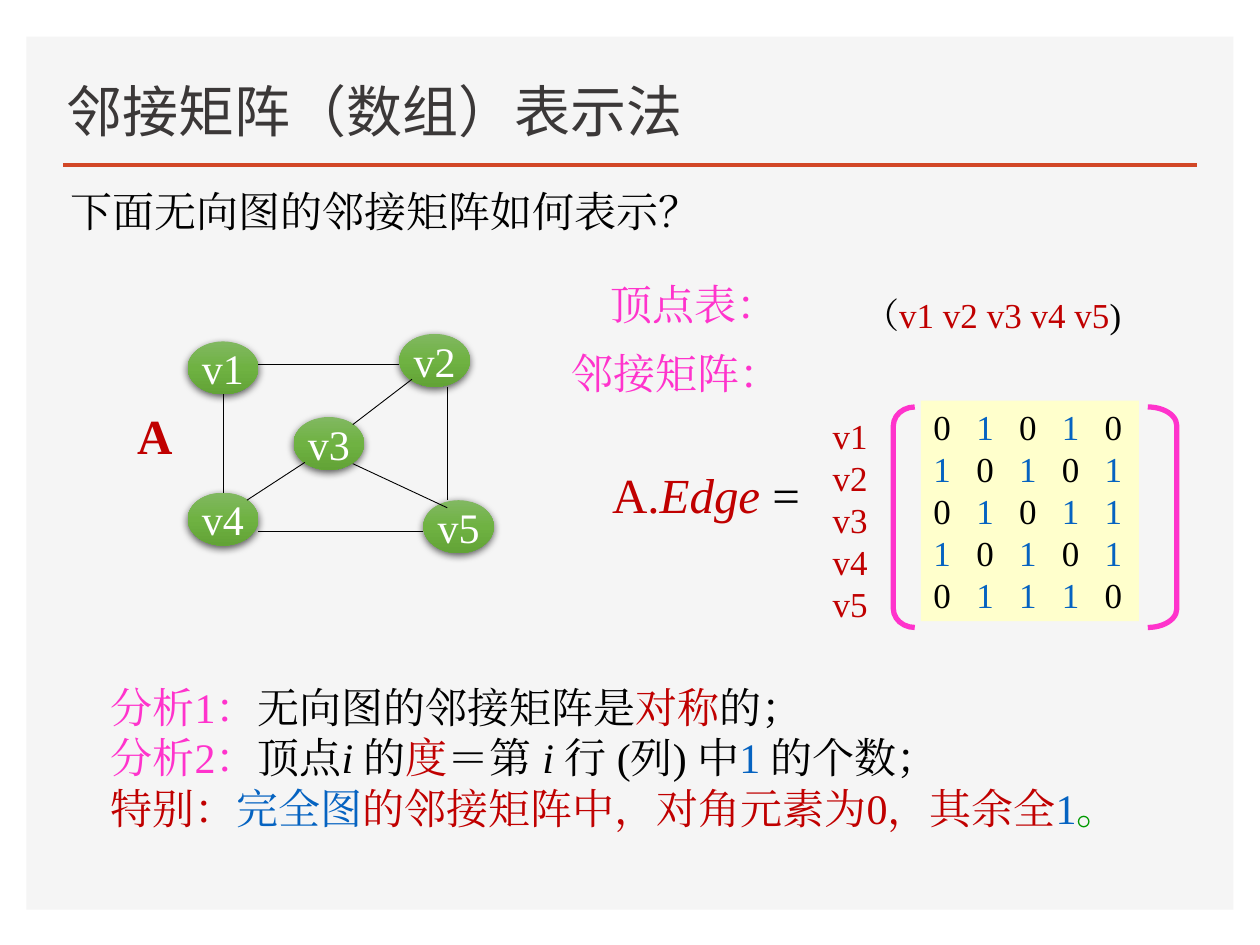
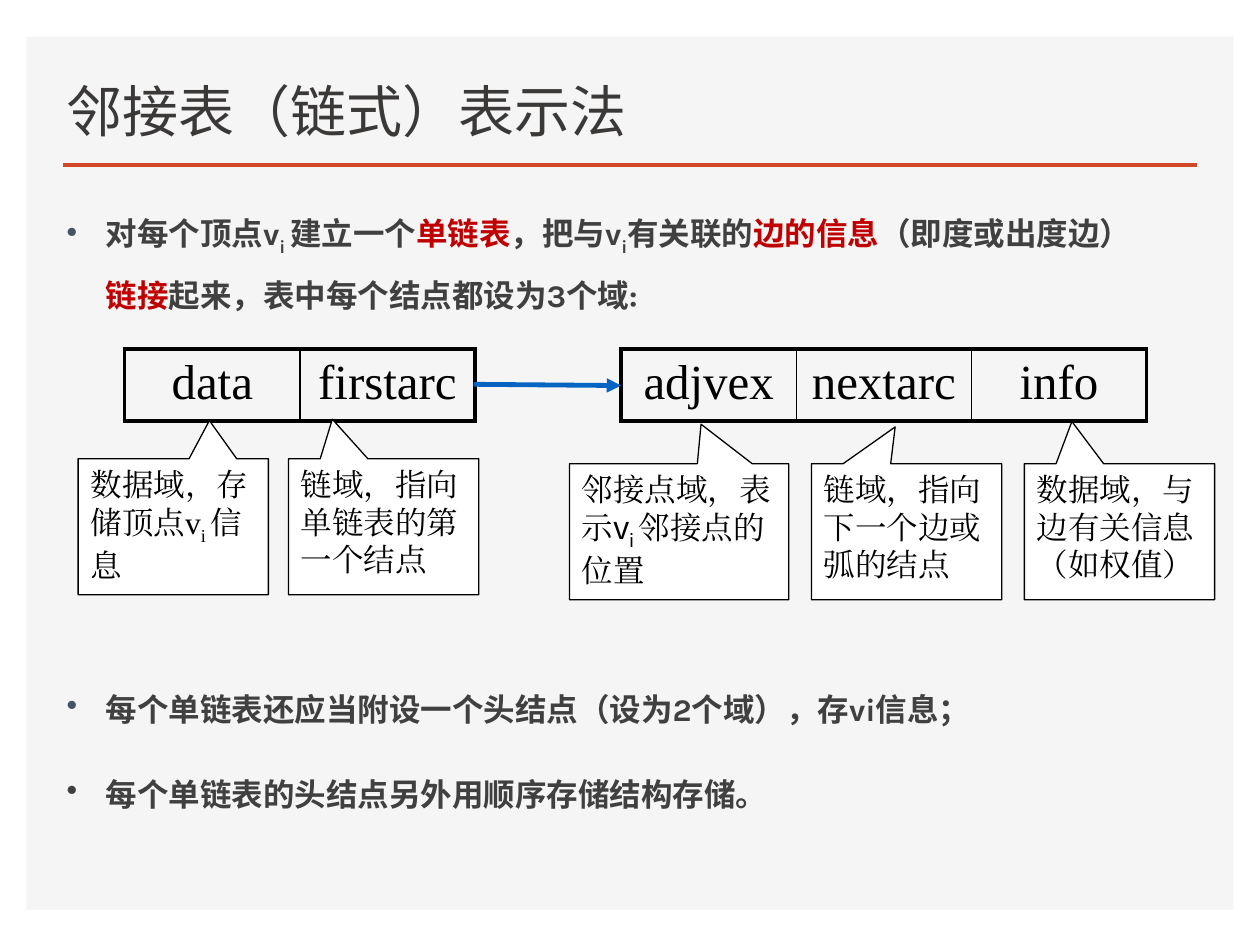
from itertools import product
from typing import NamedTuple

from lxml.etree import SubElement
from pptx import Presentation
from pptx.dml.color import RGBColor
from pptx.enum.shapes import MSO_CONNECTOR, MSO_SHAPE
from pptx.enum.text import MSO_ANCHOR, PP_ALIGN
from pptx.oxml.ns import qn
from pptx.util import Inches, Pt

SERIF, SANS, CJK = "Times New Roman", "Karla", "Noto Sans CJK SC"
BLACK, WHITE, RED, BLUE = "000000", "FFFFFF", "C00000", "0563C1"
PINK, GREEN, GRAY = "FF33CC", "009900", "404040"
BAND, RULE, TITLE, BULLET = "F5F5F5", "D24726", "3B3838", "44546A"
CREAM = "FFFFCC"
NODE_STOPS = [(0, "81B861"), (50, "6FB242"), (100, "62A336")]


class Run(NamedTuple):
    text: str
    color: str = BLACK
    font: str = ""
    italic: bool = False
    sub: bool = False


class Node(NamedTuple):
    name: str
    x: float
    y: float


class Edge(NamedTuple):
    ends: tuple[int, int]
    start: tuple[float, float]
    stop: tuple[float, float]


class Callout(NamedTuple):
    x: float
    y: float
    width: float
    tip: tuple[float, float]
    runs: list[Run]


def rgb(value: str) -> RGBColor:
    return RGBColor.from_string(value)


def add_xml(parent, tag: str, **attrs):
    return SubElement(parent, qn(tag), {k: str(v) for k, v in attrs.items()})


def add_color(parent, color: str):
    return add_xml(add_xml(parent, "a:solidFill"), "a:srgbClr", val=color)


def write(tf, paragraphs, size, font=SERIF, bold=None, align=PP_ALIGN.LEFT):
    """Fill a text frame with paragraphs, each a list of runs."""
    for i, runs in enumerate(paragraphs):
        p = tf.paragraphs[0] if i == 0 else tf.add_paragraph()
        p.alignment = align
        p.font.size, p.font.name, p.font.bold = Pt(size), font, bold
        add_xml(p._p.pPr.find(qn("a:defRPr")), "a:ea", typeface=font)
        for part in runs:
            r = p.add_run()
            r.text = part.text
            r.font.color.rgb = rgb(part.color)
            if part.font:
                r.font.name = part.font
            if part.italic:
                r.font.italic = True
            if part.sub:
                r._r.get_or_add_rPr().set("baseline", "-25000")


def add_text(s, x, y, w, h, paragraphs, size, anchor=MSO_ANCHOR.TOP, **style):
    tf = s.shapes.add_textbox(Inches(x), Inches(y), Inches(w), Inches(h)).text_frame
    tf.word_wrap, tf.vertical_anchor = True, anchor
    write(tf, paragraphs, size, **style)
    return tf


def add_shape(s, kind, x, y, w, h, fill="", line="", weight=0.75):
    sp = s.shapes.add_shape(kind, Inches(x), Inches(y), Inches(w), Inches(h))
    sp.shadow.inherit = False
    if fill:
        sp.fill.solid()
        sp.fill.fore_color.rgb = rgb(fill)
    else:
        sp.fill.background()
    if line:
        sp.line.color.rgb, sp.line.width = rgb(line), Pt(weight)
    else:
        sp.line.fill.background()
    return sp


def add_line(s, start, stop, color, weight, arrow=False):
    c = s.shapes.add_connector(MSO_CONNECTOR.STRAIGHT, *map(Inches, start + stop))
    c.line.color.rgb, c.line.width = rgb(color), Pt(weight)
    if arrow:
        add_xml(c.line._get_or_add_ln(), "a:tailEnd", type="triangle")
    add_xml(c.element.spPr, "a:effectLst")
    return c


def add_node(s, node: Node):
    """Green ellipse with a vertical gradient and a soft shadow."""
    sp = add_shape(s, MSO_SHAPE.OVAL, node.x, node.y, 0.56, 0.42)
    sp.fill.gradient()
    sp.fill.gradient_angle = 270
    stops = sp.element.spPr.find(".//" + qn("a:gsLst"))
    stops.clear()
    for pos, color in NODE_STOPS:
        add_xml(add_xml(stops, "a:gs", pos=pos * 1000), "a:srgbClr", val=color)
    shadow = add_xml(sp.element.spPr.find(qn("a:effectLst")), "a:outerShdw",
                     blurRad=Pt(4.5), dist=Pt(1.5), dir=5400000, rotWithShape=0)
    add_xml(add_xml(shadow, "a:srgbClr", val=BLACK), "a:alpha", val=63000)
    tf = sp.text_frame
    tf.word_wrap, tf.vertical_anchor = False, MSO_ANCHOR.MIDDLE
    write(tf, [[Run(node.name, WHITE)]], 24, align=PP_ALIGN.CENTER)


def add_record(s, x, fields: list[str]):
    """One-row table: heavy outline, thin dividers."""
    width = 1.39
    table = s.shapes.add_table(1, len(fields), Inches(x), Inches(2.77),
                               Inches(width * len(fields)), Inches(0.57)).table
    table.first_row = table.horz_banding = False
    for i, field in enumerate(fields):
        table.columns[i].width = Inches(width)
        cell = table.cell(0, i)
        write(cell.text_frame, [[Run(field)]], 28, align=PP_ALIGN.CENTER)
        left = 2.25 if i == 0 else 1
        right = 2.25 if i == len(fields) - 1 else 1
        tc_pr = cell._tc.get_or_add_tcPr()
        for side, weight in zip("LRTB", (left, right, 2.25, 2.25)):
            add_color(add_xml(tc_pr, f"a:ln{side}", w=Pt(weight)), BLACK)
        cell.fill.background()


def add_callout(s, c: Callout):
    sp = add_shape(s, MSO_SHAPE.RECTANGULAR_CALLOUT, c.x, c.y, c.width, 1.08, WHITE, BLACK)
    sp.adjustments[0], sp.adjustments[1] = c.tip
    sp.text_frame.word_wrap, sp.text_frame.vertical_anchor = True, MSO_ANCHOR.TOP
    write(sp.text_frame, [c.runs], 18)


def add_bullet(p, color: str):
    p_pr = p._p.get_or_add_pPr()
    p_pr.set("marL", str(Inches(0.31)))
    p_pr.set("indent", str(-Inches(0.31)))
    bullet_color = p_pr.makeelement(qn("a:buClr"))
    add_xml(bullet_color, "a:srgbClr", val=color)
    bullet = p_pr.makeelement(qn("a:buChar"), {"char": "•"})
    def_r_pr = p_pr.find(qn("a:defRPr"))
    def_r_pr.addprevious(bullet_color)
    def_r_pr.addprevious(bullet)


def add_slide(prs, title: str):
    """Title-only slide with the shared band, rule and title style."""
    s = prs.slides.add_slide(prs.slide_layouts[5])
    add_shape(s, MSO_SHAPE.RECTANGLE, 0.21, 0.29, 9.58, 6.93, BAND)
    add_line(s, (0.5, 1.31), (9.5, 1.31), RULE, 2)
    sp = s.shapes.title
    sp.left, sp.top, sp.width, sp.height = map(Inches, (0.43, 0.49, 5.64, 0.7))
    sp.text_frame.vertical_anchor = MSO_ANCHOR.BOTTOM
    write(sp.text_frame, [[Run(title, TITLE)]], 32, SANS)
    sp.element.getparent().append(sp.element)  # bring the title above the band
    return s


prs = Presentation()
prs.slide_width, prs.slide_height = Inches(10), Inches(7.5)

# Slide 1: adjacency matrix
s = add_slide(prs, "邻接矩阵（数组）表示法")
add_text(s, 0.46, 1.42, 5.23, 0.5, [[Run("下面无向图的邻接矩阵如何表示？")]], 24)

# Undirected graph
nodes = [Node("v1", 1.49, 2.71), Node("v2", 3.17, 2.65), Node("v3", 2.33, 3.31),
         Node("v4", 1.49, 3.91), Node("v5", 3.36, 3.97)]
edges = [
    Edge((0, 1), (2.05, 2.89), (3.17, 2.89)),
    Edge((0, 3), (1.77, 3.13), (1.77, 3.91)),
    Edge((3, 4), (2.05, 4.22), (3.36, 4.22)),
    Edge((2, 4), (2.8, 3.68), (3.55, 4.03)),
    Edge((2, 3), (2.42, 3.67), (1.96, 3.97)),
    Edge((1, 2), (3.27, 3.01), (2.8, 3.37)),
    Edge((1, 4), (3.55, 3.07), (3.55, 3.97)),
]
for node in nodes:
    add_node(s, node)
for edge in edges:
    add_line(s, edge.start, edge.stop, BLACK, 0.5)
add_text(s, 0.99, 3.17, 0.55, 0.57, [[Run("A", RED)]], 28, bold=True)

# Vertex list and matrix labels
names = [node.name for node in nodes]
add_text(s, 4.75, 2.16, 1.65, 0.5, [[Run("顶点表：", PINK)]], 24)
add_text(s, 4.44, 2.71, 1.95, 0.5, [[Run("邻接矩阵：", PINK)]], 24)
add_text(s, 6.76, 2.33, 2.83, 0.34,
         [[Run("（"), Run(" ".join(names), RED), Run(")")]], 20, MSO_ANCHOR.MIDDLE)
add_text(s, 4.76, 3.64, 1.75, 0.57,
         [[Run("A.", RED), Run("Edge", RED, italic=True), Run(" =")]], 28)
add_text(s, 6.51, 3.12, 0.55, 2, [[Run(name, RED)] for name in names], 20,
         MSO_ANCHOR.MIDDLE)

# Matrix worked out from the edges, columns on tab stops
size = len(nodes)
matrix = [[0] * size for _ in nodes]
for i, j in (edge.ends for edge in edges):
    matrix[i][j] = matrix[j][i] = 1
rows = [[] for _ in nodes]
for i, j in product(range(size), repeat=2):
    rows[i].append(Run(("\t" if j else "") + str(matrix[i][j]),
                       BLUE if matrix[i][j] else BLACK))
panel = add_shape(s, MSO_SHAPE.RECTANGLE, 7.31, 3.18, 1.73, 1.75, CREAM)
panel.text_frame.word_wrap, panel.text_frame.vertical_anchor = True, MSO_ANCHOR.MIDDLE
write(panel.text_frame, rows, 20)
for p in panel.text_frame.paragraphs:
    tabs = p._p.pPr.makeelement(qn("a:tabLst"))
    for j in range(1, size):
        add_xml(tabs, "a:tab", pos=Inches(0.34 * j), algn="l")
    p._p.pPr.find(qn("a:defRPr")).addprevious(tabs)

for kind, x, width, curve in [(MSO_SHAPE.LEFT_BRACKET, 7.09, 0.17, 0.88),
                              (MSO_SHAPE.RIGHT_BRACKET, 9.11, 0.23, 0.64)]:
    bracket = add_shape(s, kind, x, 3.23, width, 1.75, line=PINK, weight=3)
    bracket.adjustments[0] = curve

# Analysis
add_text(s, 0.78, 5.36, 8.33, 1.31, [
    [Run("分析1：", PINK), Run("无向图的邻接矩阵是"), Run("对称", RED), Run("的；")],
    [Run("分析2：", PINK), Run("顶点"), Run("i ", italic=True), Run("的"), Run("度", RED),
     Run("＝第 "), Run("i ", italic=True), Run("行 (列) 中"), Run("1 ", BLUE),
     Run("的个数；")],
    [Run("特别：", RED), Run("完全图", BLUE),
     Run("的邻接矩阵中，对角元素为0，其余全", RED), Run("1", BLUE), Run("。", GREEN)],
], 24)

# Slide 2: adjacency list
s = add_slide(prs, "邻接表（链式）表示法")
body = add_text(s, 0.43, 1.48, 8.77, 5.54, [
    [Run("对每个顶点v", GRAY), Run("i ", GRAY, sub=True), Run("建立一个", GRAY),
     Run("单链表", RED), Run("，把与v", GRAY), Run("i", GRAY, sub=True),
     Run("有关联的", GRAY), Run("边的信息", RED), Run("（即度或出度边）", GRAY),
     Run("链接", RED), Run("起来，表中每个结点都设为3个域:", GRAY)],
    [Run("每个单链表还应当附设一个头结点（设为2个域），存vi信息；", GRAY)],
    [Run("每个单链表的头结点另外用顺序存储结构存储。", GRAY)],
], 18, font=SANS, bold=True)
for p, before, color in zip(body.paragraphs, (0, 195, 7.5), (BULLET, BULLET, GRAY)):
    p.line_spacing, p.space_before, p.space_after = 1.5, Pt(before), Pt(9)
    add_bullet(p, color)

# Head node and edge node records
add_record(s, 4.93, ["adjvex", "nextarc", "info"])
add_record(s, 0.99, ["data", "firstarc"])

# Field explanations
for callout in [
    Callout(4.52, 3.68, 1.74, (0.1, -0.79),
            [Run("邻接点域，"), Run("表示v", font=CJK), Run("i ", font=CJK, sub=True),
             Run("邻接点的位置", font=CJK)]),
    Callout(6.44, 3.68, 1.51, (-0.06, -0.77),
            [Run("链域，"), Run("指向下一个边或弧的结点", font=CJK)]),
    Callout(8.13, 3.68, 1.51, (-0.25, -0.81),
            [Run("数据域，"), Run("与边有关信息（如权值）", font=CJK)]),
    Callout(0.62, 3.64, 1.51, (0.19, -0.78),
            [Run("数据域，存储顶点v"), Run("i ", sub=True), Run("信息")]),
    Callout(2.29, 3.64, 1.51, (-0.27, -0.79),
            [Run("链域，"), Run("指向单链表的第一个结点", font=CJK)]),
]:
    add_callout(s, callout)
add_line(s, (3.76, 3.05), (4.93, 3.06), BLUE, 2.75, arrow=True)

prs.save("out.pptx")
